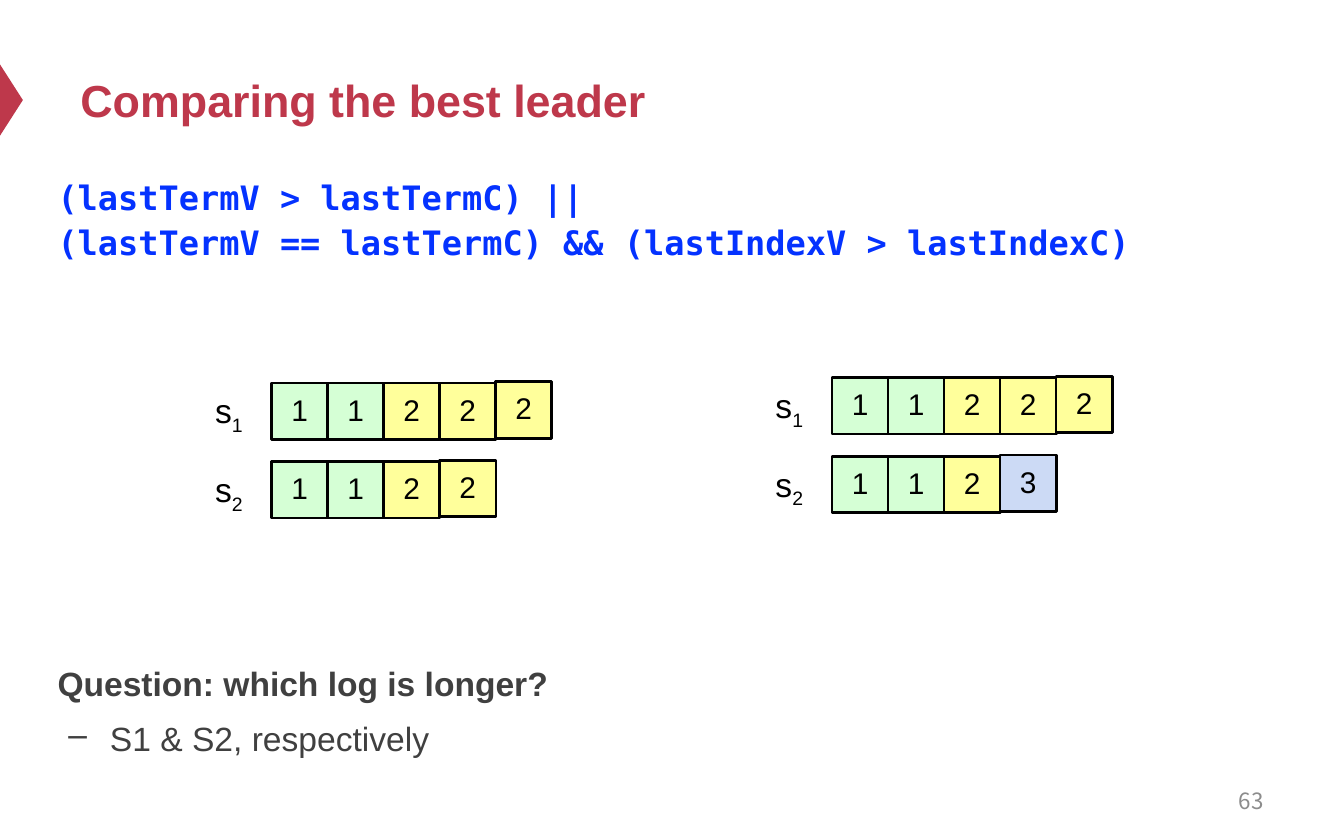
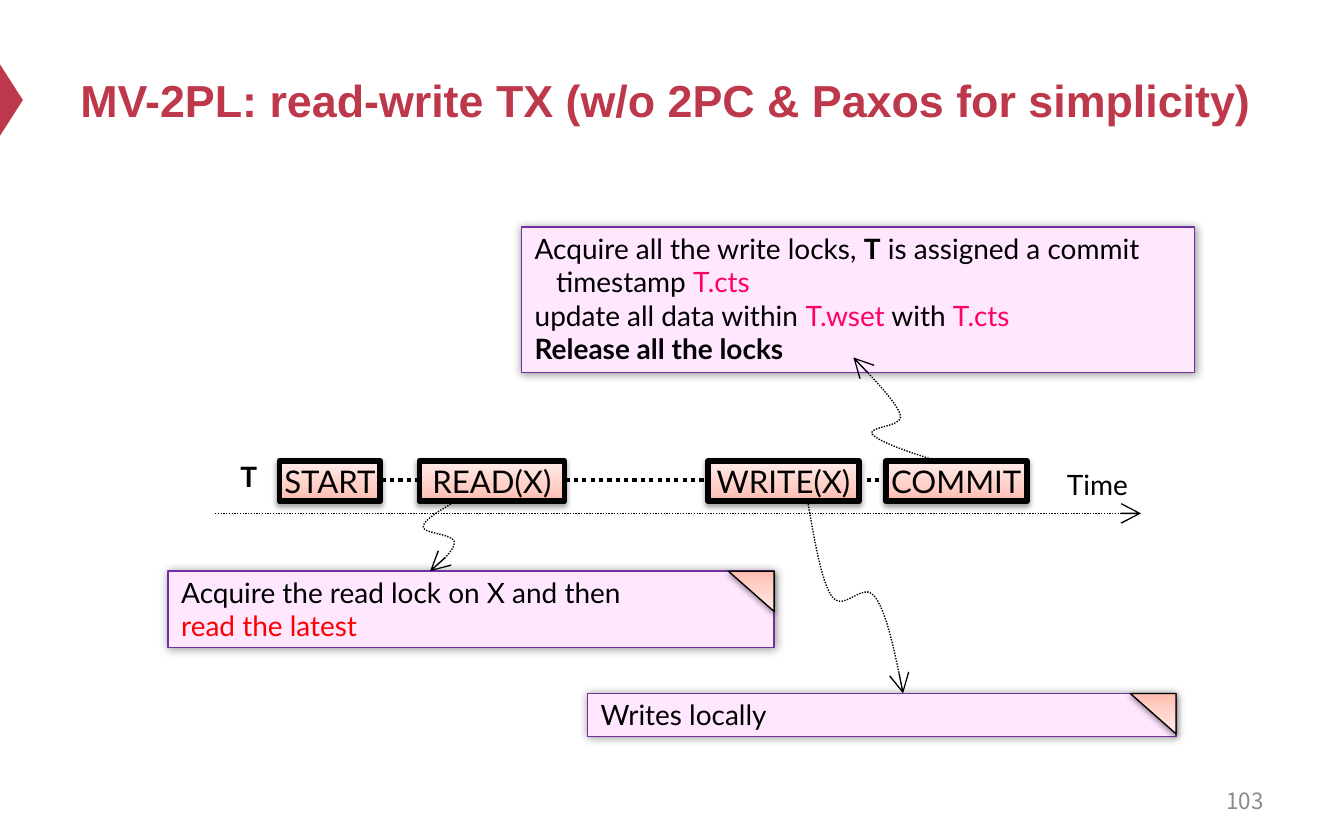
"""Build two slides: comparing replica logs, and a read-write transaction timeline."""
from lxml.etree import SubElement
from pptx import Presentation
from pptx.dml.color import RGBColor
from pptx.enum.shapes import MSO_CONNECTOR, MSO_SHAPE
from pptx.enum.text import MSO_ANCHOR, PP_ALIGN
from pptx.oxml.ns import qn
from pptx.util import Inches, Pt

COLORS = {
    "accent": "BE384B", "code": "0432FF", "body": "404040", "number": "8C8C8C",
    "black": "000000", "term1": "D5FFD5", "term2": "FFFF9B", "term3": "CCDAF5",
    "note": "FFE7FF", "note_line": "7030A0", "red": "FF0000", "pink": "FF0066",
}
PEACH = [(0, "FFBBAE"), (35, "FFCEC5"), (100, "FFECE9")]
STEP_SHADOW = {"alpha": 38, "blur": 3.1, "dist": 1.6, "angle": 90}
NOTE_SHADOW = {"alpha": 40, "blur": 5, "dist": 0, "angle": 0}
NOTE_INSETS = (0.1, 0.03)

LOG_TITLE = "Comparing the best leader"
CONDITION = """(lastTermV > lastTermC) ||
(lastTermV == lastTermC) && (lastIndexV > lastIndexC)"""
QUESTION = "Question: which log is longer?"
ANSWER = "S1 & S2, respectively"
CELL, PITCH, ROW_GAP = 0.42, 5 / 12, 0.585
LOG_PAIRS = [
    (2.02, 2.85, ["11222", "1122"]),
    (6.19, 2.81, ["11222", "1123"]),
]

TX_TITLE = "MV-2PL: read-write TX (w/o 2PC & Paxos for simplicity)"
STEP_TOP, STEP_HEIGHT = 3.43, 0.3
STEPS = [("START", 2.08, 0.75), ("READ(X)", 3.12, 1.08),
         ("WRITE(X)", 5.27, 1.12), ("COMMIT", 6.59, 1.05)]
NOTES = [
    ((1.25, 4.25, 4.51, 0.57), True,
     ["Acquire the read lock on X and then",
      [("read the latest", {"color": "red"})]]),
    ((4.37, 5.16, 4.38, 0.32), True, ["Writes locally"]),
    ((3.88, 1.69, 5.01, 1.08), False,
     [[("Acquire all the write locks, ", {}), ("T", {"bold": True}),
       (" is assigned a commit timestamp ", {}), ("T.cts", {"color": "pink"})],
      [("update all data within ", {}), ("T.wset", {"color": "pink"}),
       (" with ", {}), ("T.cts", {"color": "pink"})],
      [("Release all the locks", {"bold": True})]]),
]
CURVES = [
    [(3.39, 3.73), (3.27, 3.8), (3.15, 3.87), (3.15, 3.92), (3.14, 3.97),
     (3.37, 3.97), (3.38, 4.03), (3.39, 4.08), (3.3, 4.17), (3.2, 4.25)],
    [(6.01, 3.73), (6.06, 4.02), (6.11, 4.32), (6.19, 4.44), (6.28, 4.56),
     (6.42, 4.32), (6.51, 4.44), (6.6, 4.56), (6.66, 4.86), (6.72, 5.16)],
    [(6.91, 3.41), (6.72, 3.35), (6.53, 3.28), (6.49, 3.23), (6.46, 3.17),
     (6.72, 3.18), (6.7, 3.09), (6.67, 2.99), (6.51, 2.83), (6.35, 2.66)],
]


def rgb(name):
    return RGBColor.from_string(COLORS[name])


def write(s, paragraphs, size, font="Arial", color="black", bold=False,
          align=PP_ALIGN.LEFT, anchor=MSO_ANCHOR.TOP, insets=(0.1, 0.05),
          wrap=True, spacing=None, hanging=0):
    tf = s.text_frame
    tf.word_wrap = wrap
    tf.vertical_anchor = anchor
    tf.margin_left = tf.margin_right = Inches(insets[0])
    tf.margin_top = tf.margin_bottom = Inches(insets[1])
    for i, content in enumerate(paragraphs):
        p = tf.add_paragraph() if i else tf.paragraphs[0]
        p.alignment = align
        if spacing:
            p.line_spacing = spacing
        if hanging:
            indent(p, hanging, -hanging)
        if isinstance(content, str):
            p.text = content
            styles = [{} for _ in p.runs]
        else:
            for text, _ in content:
                p.add_run().text = text
            styles = [style for _, style in content]
        for r, style in zip(p.runs, styles):
            r.font.name, r.font.size = font, Pt(size)
            r.font.bold = style.get("bold", bold)
            r.font.color.rgb = rgb(style.get("color", color))
            if "baseline" in style:
                r.font._element.set("baseline", str(style["baseline"] * 1000))
    return tf


def indent(p, left, first):
    pPr = p._p.get_or_add_pPr()
    pPr.set("marL", str(Inches(left)))
    pPr.set("indent", str(Inches(first)))
    return pPr


def add_text(slide, box, paragraphs, size, **style):
    s = slide.shapes.add_textbox(*map(Inches, box))
    return write(s, paragraphs, size, **style)


def add_box(slide, kind, box, fill, line=None, width=0.75, shadow=None):
    s = slide.shapes.add_shape(kind, *map(Inches, box))
    s.shadow.inherit = False
    if fill == PEACH:
        fill_gradient(s)
    else:
        s.fill.solid()
        s.fill.fore_color.rgb = rgb(fill)
    if line:
        s.line.color.rgb = rgb(line)
        s.line.width = Pt(width)
    else:
        s.line.fill.background()
    if shadow:
        effects = s._element.spPr.find(qn("a:effectLst"))
        outer = SubElement(effects, qn("a:outerShdw"),
                           blurRad=str(Pt(shadow["blur"])), dist=str(Pt(shadow["dist"])),
                           dir=str(shadow["angle"] * 60000), rotWithShape="0")
        color = SubElement(outer, qn("a:srgbClr"), val=COLORS["black"])
        SubElement(color, qn("a:alpha"), val=str(shadow["alpha"] * 1000))
    return s


def fill_gradient(s):
    s.fill.gradient()
    s.fill.gradient_angle = 90
    stops = s._element.spPr.find(qn("a:gradFill")).find(qn("a:gsLst"))
    for stop in list(stops):
        stops.remove(stop)
    for pos, color in PEACH:
        stop = SubElement(stops, qn("a:gs"), pos=str(pos * 1000))
        SubElement(stop, qn("a:srgbClr"), val=color)


def dot_line(s, width=0.75, arrow=True):
    s.line.color.rgb = rgb("black")
    s.line.width = Pt(width)
    ln = s.line._get_or_add_ln()
    SubElement(ln, qn("a:prstDash"), val="sysDot")
    if arrow:
        SubElement(ln, qn("a:tailEnd"), type="arrow", w="lg", len="lg")


def add_dotted(slide, x1, x2, y, **style):
    s = slide.shapes.add_connector(MSO_CONNECTOR.STRAIGHT,
                                   *map(Inches, (x1, y, x2, y)))
    dot_line(s, **style)
    SubElement(s._element.spPr, qn("a:effectLst"))


def bezier(a, b, c, d, t):
    u = 1 - t
    return tuple(Inches(u**3 * p + 3 * u * u * t * q + 3 * u * t * t * r + t**3 * e)
                 for p, q, r, e in zip(a, b, c, d))


def add_curve(slide, points, steps=12):
    path = [bezier(*points[i:i + 4], k / steps)
            for i in range(0, len(points) - 1, 3) for k in range(1, steps + 1)]
    builder = slide.shapes.build_freeform(*map(Inches, points[0]))
    builder.add_line_segments(path, close=False)
    s = builder.convert_to_shape()
    s.fill.background()
    dot_line(s)
    s.shadow.inherit = False


def new_slide(prs, title, number):
    slide = prs.slides.add_slide(prs.slide_layouts[6])
    marker = add_box(slide, MSO_SHAPE.ISOSCELES_TRIANGLE,
                     (-0.18, 0.66, 0.53, 0.17), "accent")
    marker.rotation = 90
    add_text(slide, (0.5, 0.25, 9, 0.98), [title], 24, color="accent", bold=True,
             anchor=MSO_ANCHOR.MIDDLE)
    add_text(slide, (7.17, 5.79, 2.33, 0.33), [number], 12, font="Noto Sans CJK SC",
             color="number", align=PP_ALIGN.RIGHT, anchor=MSO_ANCHOR.MIDDLE)
    return slide


def add_log(slide, left, top, index, terms):
    label = [("s", {}), (str(index), {"baseline": -25})]
    add_text(slide, (left - CELL, top + 0.055, CELL, 0.3), [label], 18, insets=(0, 0))
    for i, term in enumerate(terms):
        lift = 0.01 if i == len(terms) - 1 else 0
        s = add_box(slide, MSO_SHAPE.RECTANGLE,
                    (left + i * PITCH, top - lift, CELL, CELL),
                    "term" + term, "black", 1.5)
        write(s, [term], 16, align=PP_ALIGN.CENTER, anchor=MSO_ANCHOR.MIDDLE,
              insets=(0, 0), spacing=Pt(17))


def build_logs(prs):
    slide = new_slide(prs, LOG_TITLE, "63")
    add_text(slide, (0.33, 1.24, 9, 0.8), [CONDITION], 18, font="DejaVu Sans Mono",
             color="code", bold=True, spacing=1.1)
    for left, top, logs in LOG_PAIRS:
        for row, terms in enumerate(logs):
            add_log(slide, left, top + row * ROW_GAP, row + 1, terms)
    tf = add_text(slide, (0.33, 4.82, 9, 0.98),
                  [[(QUESTION, {"bold": True})], ANSWER], 18, color="body", spacing=1.2)
    p = tf.paragraphs[1]
    p.level = 1
    p.space_before = Pt(4)
    SubElement(indent(p, 0.39, -0.31), qn("a:buChar"), char="–")


def build_timeline(prs):
    slide = new_slide(prs, TX_TITLE, "103")
    add_dotted(slide, 2.84, 6.59, 3.57, width=2.25, arrow=False)
    add_dotted(slide, 1.6, 8.49, 3.82)
    add_text(slide, (7.84, 3.43, 0.8, 0.35), ["Time"], 15, font="Lato")
    add_text(slide, (1.69, 3.37, 0.33, 0.35), ["T"], 15, font="Lato", bold=True)
    for name, left, width in STEPS:
        s = add_box(slide, MSO_SHAPE.RECTANGLE, (left, STEP_TOP, width, STEP_HEIGHT),
                    PEACH, "black", 3, STEP_SHADOW)
        write(s, [name], 16.7, font="Lato", align=PP_ALIGN.CENTER,
              anchor=MSO_ANCHOR.MIDDLE, insets=NOTE_INSETS, wrap=False)
    for box, folded, paragraphs in NOTES:
        s = add_box(slide, MSO_SHAPE.RECTANGLE, box, "note", "note_line",
                    shadow=NOTE_SHADOW)
        write(s, paragraphs, 15, font="Lato", insets=NOTE_INSETS, hanging=0.16)
        if folded:
            left, top, width, _ = box
            fold = add_box(slide, MSO_SHAPE.RIGHT_TRIANGLE,
                           (left + width - 0.34, top, 0.34, 0.3),
                           PEACH, "black", shadow=STEP_SHADOW)
            fold.rotation = 180
    for points in CURVES:
        add_curve(slide, points)


def main():
    prs = Presentation()
    prs.slide_width, prs.slide_height = Inches(10), Inches(6.25)
    build_logs(prs)
    build_timeline(prs)
    prs.save("out.pptx")


if __name__ == "__main__":
    main()
